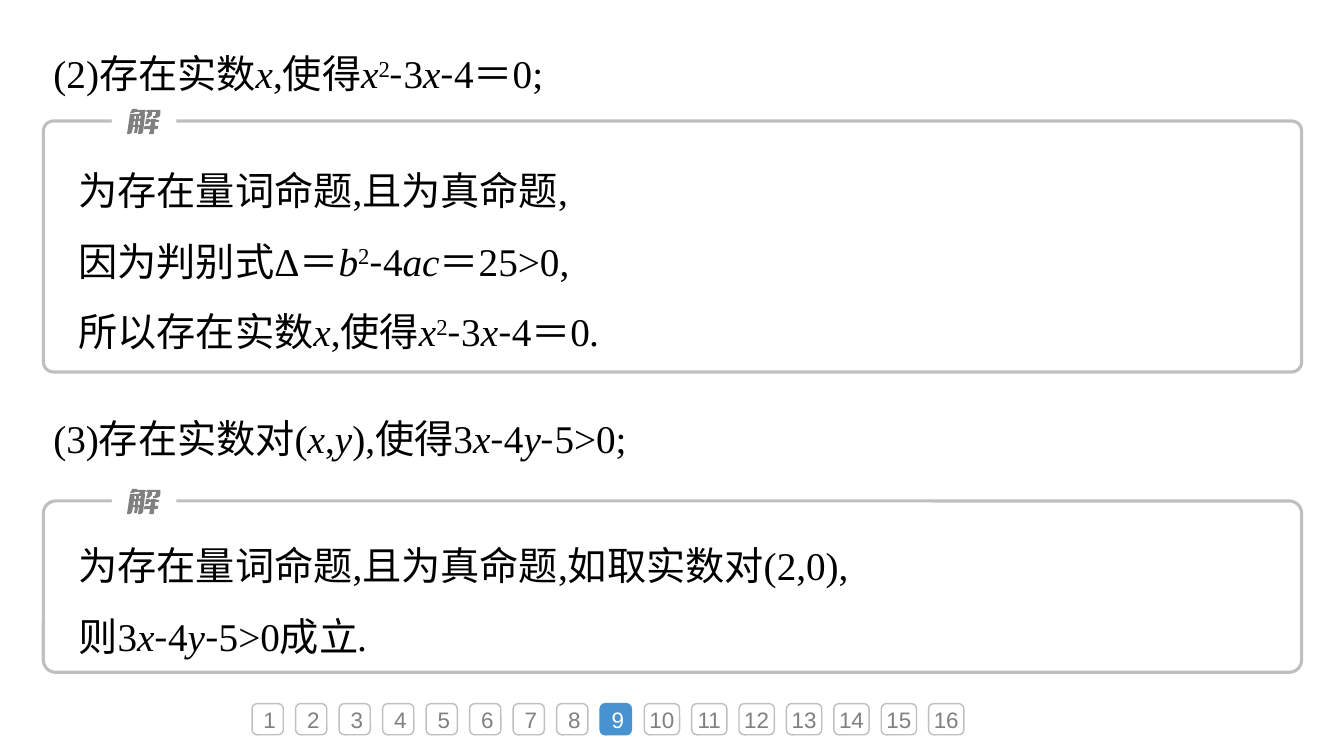
"""Build a worked-solutions slide on existential propositions."""
from dataclasses import dataclass
from itertools import groupby

from lxml.etree import SubElement
from pptx import Presentation
from pptx.dml.color import RGBColor
from pptx.enum.shapes import MSO_SHAPE as Preset
from pptx.enum.text import MSO_ANCHOR as Anchor, MSO_AUTO_SIZE as AutoSize, PP_ALIGN as Align
from pptx.oxml.ns import qn
from pptx.shapes.base import BaseShape
from pptx.slide import Slide
from pptx.util import Inches, Pt

COLORS = {"text": "000000", "paper": "FFFFFF", "outline": "BFBFBF", "muted": "808080", "current": "4893CF"}
LATIN, HAN, BUTTON_FONT = "Times New Roman", "Noto Sans CJK SC", "Arial"
MARGIN, WIDTH = 0.43, 12.48
CURRENT_PAGE, PAGES = 9, 16

LABEL_CONTOURS = (
    ((11, 12), (11, 16), (13, 16), (13, 12)),
    ((7, 12), (6, 16), (8, 16), (8, 12)),
    ((25, 10), (29, 10), (29, 11), (32, 11), (32, 12), (31, 13), (28, 13), (28, 17), (31, 17), (31, 19),
     (30, 20), (27, 20), (27, 24), (26, 25), (22, 25), (23, 20), (17, 20), (17, 18), (18, 17), (23, 17),
     (24, 13), (22, 13), (21, 15), (18, 15), (19, 10), (23, 10), (23, 11), (24, 11), (24, 10)),
    ((12, 7), (12, 10), (13, 10), (14, 7)),
    ((20, 1), (33, 1), (33, 6), (32, 8), (29, 9), (26, 9), (26, 7), (28, 7), (28, 6), (29, 3),
     (25, 3), (25, 6), (23, 8), (21, 9), (19, 9), (21, 3), (19, 3)),
    ((5, 0), (10, 0), (10, 1), (19, 1), (17, 5), (18, 5), (16, 23), (15, 24), (14, 25), (11, 25),
     (12, 18), (11, 18), (10, 24), (7, 24), (8, 18), (6, 18), (5, 23), (4, 24), (3, 25), (0, 25),
     (3, 5), (8, 5), (7, 10), (9, 10), (9, 7), (8, 7), (8, 5), (12, 5), (13, 3), (9, 3), (6, 4), (3, 4), (5, 1)),
)


@dataclass(frozen=True)
class Solution:
    """A framed answer with its text lines."""
    top: float
    height: float
    corner: float
    text_top: float
    text_height: float
    lines: tuple[str, ...]


SOLUTIONS = (
    Solution(1.2, 2.49, 0.04, 1.37, 2.14,
             ("为存在量词命题,且为真命题,", "因为判别式Δ＝b²-4ac＝25>0,", "所以存在实数x,使得x²-3x-4＝0.")),
    Solution(4.97, 1.7, 0.072, 5.09, 1.43,
             ("为存在量词命题,且为真命题,如取实数对(2,0),", "则3x-4y-5>0成立.")),
)


def color(name: str) -> RGBColor:
    """Look up a named colour."""
    return RGBColor.from_string(COLORS[name])


def place(shape: BaseShape, left: float, top: float, width: float, height: float) -> None:
    """Move and size a shape in inches."""
    shape.left, shape.top, shape.width, shape.height = map(Inches, (left, top, width, height))


def style(shape: BaseShape, fill: str | None, line: str | None, weight: float = 1) -> None:
    """Set fill and outline without a shadow."""
    shape.shadow.inherit = False
    if fill:
        shape.fill.solid()
        shape.fill.fore_color.rgb = color(fill)
    else:
        shape.fill.background()
    if line:
        shape.line.color.rgb = color(line)
        shape.line.width = Pt(weight)
    else:
        shape.line.fill.background()


def character_kind(character: str) -> str:
    """Classify a character by the way it is set in a formula."""
    if character in "xyabc.":
        return "italic"
    if character in "-＝":
        return "operator"
    return "power" if character == "²" else "plain"


def write_math(shape: BaseShape, lines: tuple[str, ...]) -> None:
    """Write lines of Chinese text with formulas."""
    frame = shape.text_frame
    frame.word_wrap = True
    frame.auto_size = AutoSize.NONE
    frame.vertical_anchor = Anchor.TOP
    for index, line in enumerate(lines):
        paragraph = frame.add_paragraph() if index else frame.paragraphs[0]
        paragraph.alignment = Align.LEFT
        paragraph.line_spacing = 1.5
        font = paragraph.font
        font.size, font.name = Pt(28), LATIN
        font.color.rgb = color("text")
        defaults = paragraph._p.pPr.find(qn("a:defRPr"))
        SubElement(defaults, qn("a:ea")).set("typeface", HAN)
        for kind, characters in groupby(line, character_kind):
            run = paragraph.add_run()
            run.text = "".join(characters).replace("²", "2")
            if kind == "italic":
                run.font.italic = True
            elif kind == "operator":
                run.font.name = HAN
            elif kind == "power":
                run.font._element.set("baseline", "30000")


def add_math(slide: Slide, top: float, height: float, lines: tuple[str, ...], indent: float = 0) -> None:
    """Add a text box of formulas."""
    box = slide.shapes.add_textbox(0, 0, 0, 0)
    place(box, MARGIN + indent, top, WIDTH - indent * 1.72, height)
    write_math(box, lines)


def add_solution(slide: Slide, solution: Solution) -> None:
    """Draw a labelled frame and its answer."""
    shapes = slide.shapes.add_group_shape().shapes
    frame = shapes.add_shape(Preset.ROUNDED_RECTANGLE, Inches(MARGIN), Inches(solution.top),
                             Inches(WIDTH), Inches(solution.height))
    frame.adjustments[0] = solution.corner
    style(frame, None, "outline", 2.25)
    gap = shapes.add_shape(Preset.RECTANGLE, Inches(1.11), Inches(solution.top - 0.13), Inches(0.64), Inches(0.24))
    style(gap, "paper", None)
    first, *others = LABEL_CONTOURS
    builder = shapes.build_freeform(*first[0], scale=Inches(0.01))
    builder.add_line_segments(first[1:], close=True)
    for contour in others:
        builder.move_to(*contour[0])
        builder.add_line_segments(contour[1:], close=True)
    label = builder.convert_to_shape(Inches(1.26), Inches(solution.top - 0.12))
    style(label, "muted", None)
    add_math(slide, solution.text_top, solution.text_height, solution.lines, 0.25)


def add_page_button(slide: Slide, page: int) -> None:
    """Draw one numbered page button."""
    wide, current = page >= 10, page == CURRENT_PAGE
    left = 6.39 + (page - 10) * 0.47 if wide else 2.5 + (page - 1) * 0.4315
    button = slide.shapes.add_shape(Preset.ROUNDED_RECTANGLE, Inches(left), Inches(6.98),
                                    Inches(0.35 if wide else 0.31), Inches(0.31))
    style(button, "current" if current else "paper", "current" if current else "outline")
    frame = button.text_frame
    frame.vertical_anchor = Anchor.MIDDLE
    if wide:
        frame.margin_left = frame.margin_right = 0
    paragraph = frame.paragraphs[0]
    paragraph.text = str(page)
    paragraph.alignment = Align.CENTER
    paragraph.font.size, paragraph.font.name = Pt(16), BUTTON_FONT
    paragraph.font.color.rgb = color("paper" if current else "muted")


def main() -> None:
    """Build and save the slide."""
    presentation = Presentation()
    presentation.slide_width, presentation.slide_height = Inches(13.33), Inches(7.5)
    slide = presentation.slides.add_slide(presentation.slide_layouts[5])
    place(slide.shapes.title, MARGIN, 0.21, WIDTH, 0.81)
    write_math(slide.shapes.title, ("(2)存在实数x,使得x²-3x-4＝0;",))
    for page in range(1, PAGES + 1):
        add_page_button(slide, page)
    for solution in SOLUTIONS:
        add_solution(slide, solution)
    add_math(slide, 3.83, 0.81, ("(3)存在实数对(x,y),使得3x-4y-5>0;",))
    presentation.save("out.pptx")


if __name__ == "__main__":
    main()
